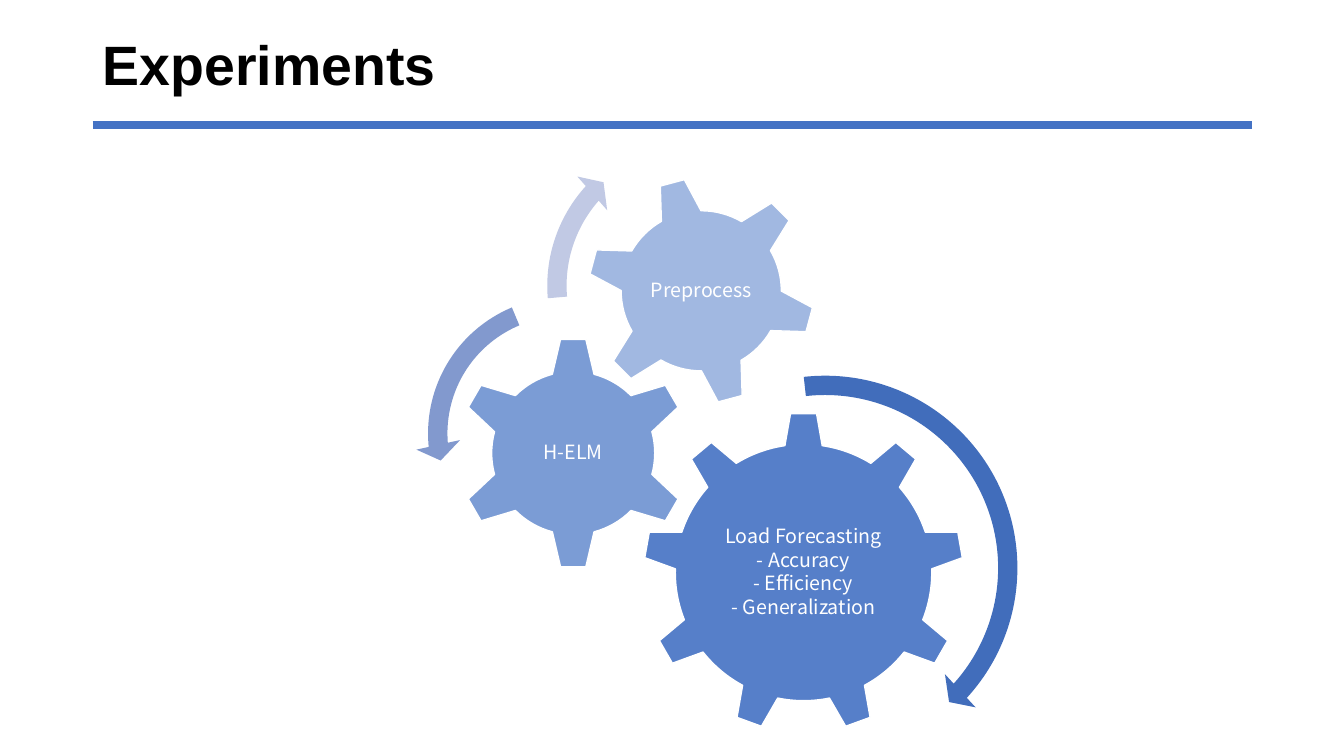
"""Build the Experiments slide: three meshing gears with rotation arrows."""
from lxml import etree
from pptx import Presentation
from pptx.dml.color import RGBColor
from pptx.enum.shapes import MSO_CONNECTOR, MSO_SHAPE
from pptx.enum.text import MSO_ANCHOR, PP_ALIGN
from pptx.oxml.ns import qn
from pptx.util import Inches, Pt

GEAR_SIX, GEAR_NINE = MSO_SHAPE.GEAR_6, MSO_SHAPE.GEAR_9
CLOCKWISE, COUNTERCLOCKWISE = MSO_SHAPE.CIRCULAR_ARROW, MSO_SHAPE.LEFT_CIRCULAR_ARROW
STRAIGHT = MSO_CONNECTOR.STRAIGHT
MIDDLE, LEFT, CENTER = MSO_ANCHOR.MIDDLE, PP_ALIGN.LEFT, PP_ALIGN.CENTER
COLORS = {"accent": "4472C4", "white": "FFFFFF", "black": "000000",
          "forecast": "416DBB", "learning": "8299CE", "preprocess": "C1C9E4"}
COLORS = {name: RGBColor.from_string(value) for name, value in COLORS.items()}

presentation = Presentation()
presentation.slide_width, presentation.slide_height = Inches(13.33), Inches(7.5)
WIDTH_SHARE = presentation.slide_width / 100
HEIGHT_SHARE = presentation.slide_height / 100
slide = presentation.slides.add_slide(presentation.slide_layouts[5])


def square(center_x, center_y, size):
    """Return the box of a square from its centre and its share of the slide height."""
    side = size * HEIGHT_SHARE
    return [round(value) for value in (center_x * WIDTH_SHARE - side / 2,
                                       center_y * HEIGHT_SHARE - side / 2, side, side)]


def write(frame, lines, *, font, size, color, bold=False, align=LEFT, after=0, inset=None):
    """Fill a text frame with one paragraph per line in a single format."""
    frame.word_wrap, frame.vertical_anchor = True, MIDDLE
    if inset is not None:
        frame.margin_left = frame.margin_right = inset
        frame.margin_top = frame.margin_bottom = inset
    frame.text = "\n".join(lines)
    for paragraph in frame.paragraphs:
        paragraph.alignment, paragraph.line_spacing = align, 0.9
        paragraph.space_after = Pt(after)
        run = paragraph.runs[0]
        run.font.name, run.font.size, run.font.bold = font, Pt(size), bold
        run.font.color.rgb = COLORS[color]
        etree.SubElement(run.font._element, qn("a:ea"), typeface=font)


title = slide.shapes.title
title.left, title.top = round(6.9 * WIDTH_SHARE), round(4 * HEIGHT_SHARE)
title.width, title.height = round(86.27 * WIDTH_SHARE), round(10 * HEIGHT_SHARE)
write(title.text_frame, ["Experiments"], font="Arial", size=39.6, color="black", bold=True)

gears = [
    (GEAR_NINE, 59.79, 75.73, 42.4, 0, 90, 25.33,
     ["Load Forecasting", "- Accuracy", "- Efficiency", "- Generalization"]),
    (GEAR_SIX, 42.65, 59.93, 30.8, 0, 70, 15.33, ["H-ELM"]),
    (GEAR_SIX, 52.18, 38.47, 30.27, 345, 50, 16.93, ["Preprocess"]),
]
for kind, center_x, center_y, size, rotation, opacity, label_size, lines in gears:
    gear = slide.shapes.add_shape(kind, *square(center_x, center_y, size))
    gear.rotation = rotation
    gear.shadow.inherit = False
    gear.fill.solid()
    gear.fill.fore_color.rgb = COLORS["accent"]
    fill_color = gear._element.spPr.find(qn("a:solidFill"))[0]
    etree.SubElement(fill_color, qn("a:alpha"), val=str(opacity * 1000))
    gear.line.color.rgb, gear.line.width = COLORS["white"], Pt(1)
    label = slide.shapes.add_textbox(*square(center_x, center_y, label_size))
    write(label.text_frame, lines, font="Noto Sans CJK KR", size=14, color="white",
          align=CENTER, after=1.8, inset=Inches(0.02))

arrows = [
    (CLOCKWISE, 61.4, 75.13, 54.27, "forecast", (0.047, 2.99, 25.372, 158.166, 0.055)),
    (COUNTERCLOCKWISE, 42.01, 57.33, 39.47, "learning", (0.065, 4.3, 104.891, 148.378, 0.075)),
    (CLOCKWISE, 51.73, 37.8, 42.53, "preprocess", (0.06, 3.941, 133.138, 105.082, 0.07)),
]
for kind, center_x, center_y, size, color, adjustments in arrows:
    arrow = slide.shapes.add_shape(kind, *square(center_x, center_y, size))
    arrow.shadow.inherit = False
    arrow.fill.solid()
    arrow.fill.fore_color.rgb = COLORS[color]
    arrow.line.fill.background()
    for index, value in enumerate(adjustments):
        arrow.adjustments[index] = value

rule_y = round(16.53 * HEIGHT_SHARE)
rule = slide.shapes.add_connector(STRAIGHT, title.left, rule_y, title.left + title.width, rule_y)
rule.line.color.rgb, rule.line.width = COLORS["accent"], Pt(6.13)
etree.SubElement(rule._element.spPr, qn("a:effectLst"))

presentation.save("out.pptx")
